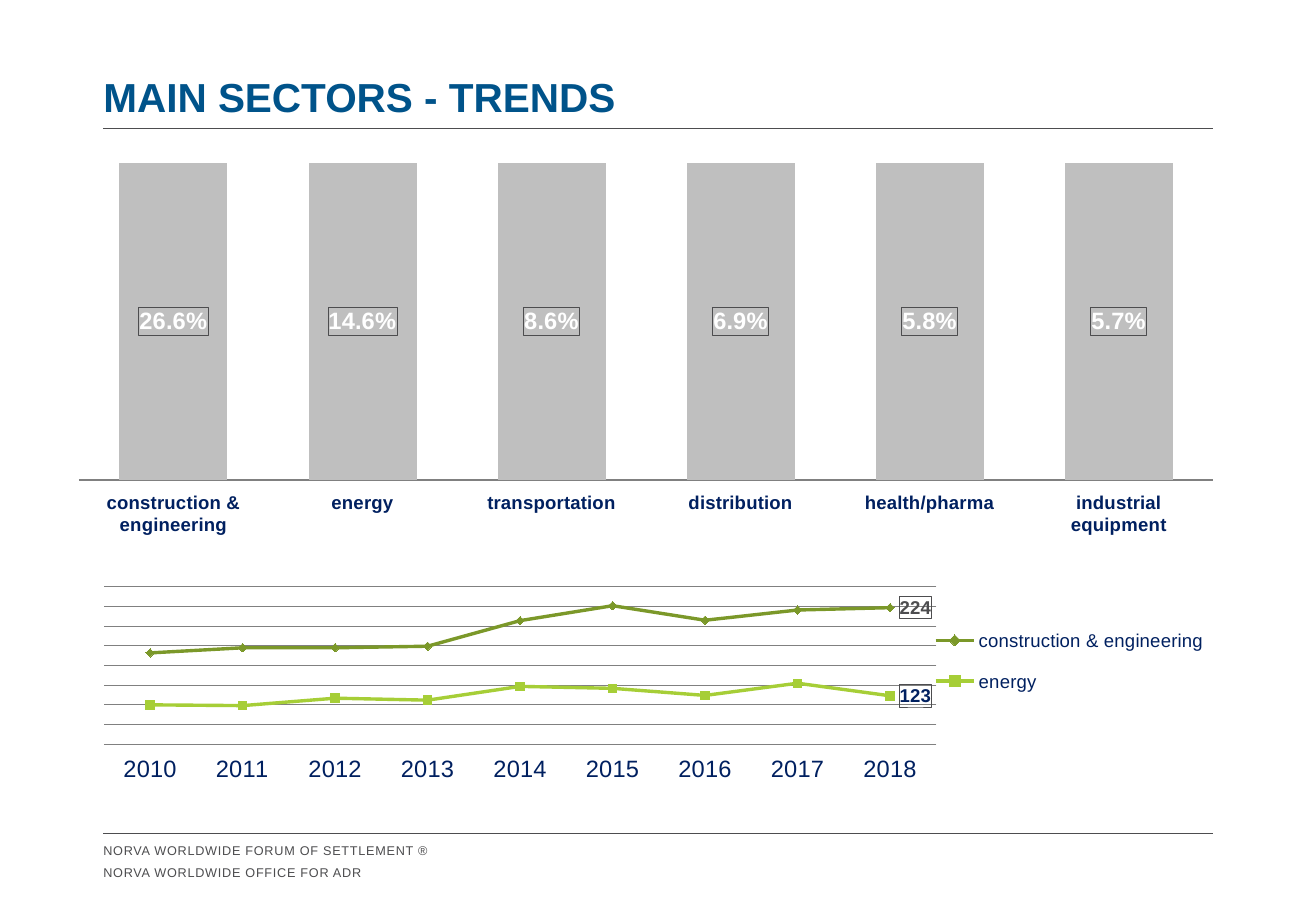
from pptx import Presentation
from pptx.chart.data import CategoryChartData
from pptx.dml.color import RGBColor
from pptx.enum.chart import XL_CHART_TYPE, XL_LABEL_POSITION, XL_LEGEND_POSITION, XL_MARKER_STYLE, XL_TICK_LABEL_POSITION, XL_TICK_MARK
from pptx.enum.shapes import MSO_CONNECTOR
from pptx.enum.text import MSO_ANCHOR, MSO_AUTO_SIZE, PP_ALIGN
from pptx.oxml import parse_xml
from pptx.oxml.ns import nsdecls, qn
from pptx.util import Inches, Pt

COLUMNS = XL_CHART_TYPE.COLUMN_STACKED_100
LINES = XL_CHART_TYPE.LINE_MARKERS_STACKED
CENTER, RIGHT = XL_LABEL_POSITION.CENTER, XL_LABEL_POSITION.RIGHT
LEGEND_RIGHT = XL_LEGEND_POSITION.RIGHT
SQUARE, DIAMOND = XL_MARKER_STYLE.SQUARE, XL_MARKER_STYLE.DIAMOND
LABELS_LOW = XL_TICK_LABEL_POSITION.LOW
NO_TICKS = XL_TICK_MARK.NONE
STRAIGHT = MSO_CONNECTOR.STRAIGHT
BOTTOM, TOP = MSO_ANCHOR.BOTTOM, MSO_ANCHOR.TOP
NO_FIT = MSO_AUTO_SIZE.NONE
LEFT = PP_ALIGN.LEFT

FONT = "Arial"
GREY, NAVY, BLUE, AXIS_GREY = "4D4D4F", "002060", "00538A", "808080"
FOOTER_LINES = ["NORVA WORLDWIDE FORUM OF SETTLEMENT ®", "NORVA WORLDWIDE OFFICE FOR ADR"]
SECTOR_SHARES = {
    "construction & engineering": 0.266,
    "energy": 0.146,
    "transportation": 0.086,
    "distribution": 0.069,
    "health/pharma": 0.058,
    "industrial equipment": 0.057,
}
YEARS = [str(year) for year in range(2010, 2019)]
CASES = [
    ("energy", [100, 98, 117, 112, 147, 142, 124, 155, 123], "A6CE37", SQUARE, NAVY),
    ("construction & engineering", [132, 147, 128, 137, 167, 210, 191, 186, 224], "7B9829", DIAMOND, GREY),
]


def rgb(value):
    """Return the colour for a hex string."""
    return RGBColor.from_string(value)


def set_font(font, size, color, bold=False):
    """Format a font."""
    font.name, font.size, font.bold = FONT, Pt(size), bold
    font.color.rgb = rgb(color)


def set_line(line, color, width):
    """Format an outline."""
    line.color.rgb = rgb(color)
    line.width = Pt(width)


def prepare_frame(frame, anchor, top_inset=0):
    """Set the margins, wrapping and anchor of a text frame."""
    frame.margin_left = frame.margin_right = frame.margin_bottom = 0
    frame.margin_top = Inches(top_inset)
    frame.word_wrap, frame.auto_size, frame.vertical_anchor = True, NO_FIT, anchor


def layout_xml(x, y, width, height, inner=False):
    """Return a manual chart layout given in fractions of the chart."""
    target = '<c:layoutTarget val="inner"/>' if inner else ""
    return parse_xml(
        f'<c:layout {nsdecls("c")}><c:manualLayout>{target}'
        '<c:xMode val="edge"/><c:yMode val="edge"/>'
        f'<c:x val="{x}"/><c:y val="{y}"/><c:w val="{width}"/><c:h val="{height}"/>'
        "</c:manualLayout></c:layout>"
    )


def frame_labels(labels):
    """Draw a thin box around formatted data labels."""
    box = parse_xml(
        f'<c:spPr {nsdecls("c", "a")}><a:noFill/><a:ln w="6350"><a:solidFill>'
        f'<a:srgbClr val="{GREY}"/></a:solidFill></a:ln></c:spPr>'
    )
    labels.find(qn("c:txPr")).addprevious(box)


def add_chart(slide, box, kind, data, plot_layout, category_size, category_bold):
    """Add a chart with a bare category axis and a hidden value axis."""
    chart = slide.shapes.add_chart(kind, *map(Inches, box), data).chart
    chart.has_title = chart.has_legend = False
    set_font(chart.font, 18, GREY)
    area = chart.plots[0]._element.getparent()
    for layout in area.findall(qn("c:layout")):
        area.remove(layout)
    area.insert(0, layout_xml(*plot_layout, inner=True))
    axis = chart.category_axis
    axis.major_tick_mark = axis.minor_tick_mark = NO_TICKS
    axis.tick_label_position = LABELS_LOW
    set_font(axis.tick_labels.font, category_size, NAVY, category_bold)
    set_line(axis.format.line, AXIS_GREY, 0.75)
    chart.value_axis.visible = chart.value_axis.has_major_gridlines = False
    return chart


def add_sector_chart(slide, box):
    """Add the columns with the share of each sector."""
    data = CategoryChartData(number_format="0.0%")
    data.categories = list(SECTOR_SHARES)
    data.add_series("Series 1", list(SECTOR_SHARES.values()))
    chart = add_chart(slide, box, COLUMNS, data, (0.044, 0.032, 0.956, 0.737), 11, True)
    plot = chart.plots[0]
    plot.gap_width, plot.overlap, plot.vary_by_categories = 75, 100, False
    series = plot.series[0]
    series.format.fill.solid()
    series.format.fill.fore_color.rgb = rgb("BFBFBF")
    labels = series.data_labels
    labels.show_value, labels.position = True, CENTER
    labels.number_format, labels.number_format_is_linked = "0.0%", False
    set_font(labels.font, 14, "FFFFFF", True)
    frame_labels(labels._element)


def add_trend_chart(slide, box):
    """Add the stacked lines with the cases of each year."""
    data = CategoryChartData()
    data.categories = YEARS
    for name, values, *_ in CASES:
        data.add_series(name, values)
    chart = add_chart(slide, box, LINES, data, (0, 0.021, 0.75, 0.658), 14, False)
    axis = chart.value_axis
    axis.minimum_scale, axis.maximum_scale, axis.major_unit = 0, 400, 50
    axis.has_major_gridlines = True
    set_line(axis.major_gridlines.format.line, AXIS_GREY, 0.75)
    chart.plots[0].vary_by_categories = False
    for series, (_, values, color, marker, label_color) in zip(chart.plots[0].series, CASES):
        series.smooth = False
        set_line(series.format.line, color, 2)
        series.marker.style, series.marker.size = marker, 5
        series.marker.format.fill.solid()
        series.marker.format.fill.fore_color.rgb = rgb(color)
        set_line(series.marker.format.line, color, 0.75)
        series.data_labels.show_value = False
        label = series.points[len(values) - 1].data_label
        set_font(label.font, 11, label_color, True)
        label.position = RIGHT
        frame_labels(series.data_labels._element.find(qn("c:dLbl")))
    chart.has_legend = True
    legend = chart.legend
    legend.position, legend.include_in_layout = LEGEND_RIGHT, False
    set_font(legend.font, 11, NAVY)
    for layout in legend._element.findall(qn("c:layout")):
        legend._element.remove(layout)
    legend._element.find(qn("c:legendPos")).addnext(layout_xml(0.74, 0.12, 0.26, 0.42))


def add_rule(slide, left, top, width):
    """Add a thin horizontal rule."""
    points = map(Inches, (left, top, left + width, top))
    rule = slide.shapes.add_connector(STRAIGHT, *points)
    set_line(rule.line, GREY, 0.5)
    rule._element.spPr.append(parse_xml(f'<a:effectLst {nsdecls("a")}/>'))


def add_header(slide, left, top, width, height):
    """Place the title above its rule."""
    title = slide.shapes.title
    title.left, title.top, title.width, title.height = map(Inches, (left, top, width, height))
    prepare_frame(title.text_frame, BOTTOM)
    title.text_frame.text = "MAIN SECTORS - TRENDS"
    paragraph = title.text_frame.paragraphs[0]
    paragraph.alignment = LEFT
    set_font(paragraph.font, 24, BLUE, True)
    add_rule(slide, left, top + height + 0.07, width)


def add_footer(slide, left, top, width, height):
    """Place the footer lines under their rule."""
    add_rule(slide, left, top, width)
    box = slide.shapes.add_textbox(*map(Inches, (left, top + 0.04, 2.68, height - 0.04)))
    prepare_frame(box.text_frame, TOP, 0.04)
    box.text_frame.text = "\n".join(FOOTER_LINES)
    for index, paragraph in enumerate(box.text_frame.paragraphs):
        paragraph.space_before = Pt(4 * index)
        set_font(paragraph.font, 7.5, GREY)
        paragraph.runs[0]._r.get_or_add_rPr().set("spc", "40")


def main():
    """Build the slide and save it."""
    presentation = Presentation()
    presentation.slide_width, presentation.slide_height = Inches(10.83), Inches(7.5)
    slide = presentation.slides.add_slide(presentation.slide_layouts[5])
    add_header(slide, 0.85, 0.6, 9.13, 0.39)
    add_sector_chart(slide, (0.22, 1.23, 9.77, 3.54))
    add_trend_chart(slide, (0.85, 4.79, 9.14, 1.97))
    add_footer(slide, 0.85, 6.86, 9.13, 0.41)
    presentation.save("out.pptx")


if __name__ == "__main__":
    main()
